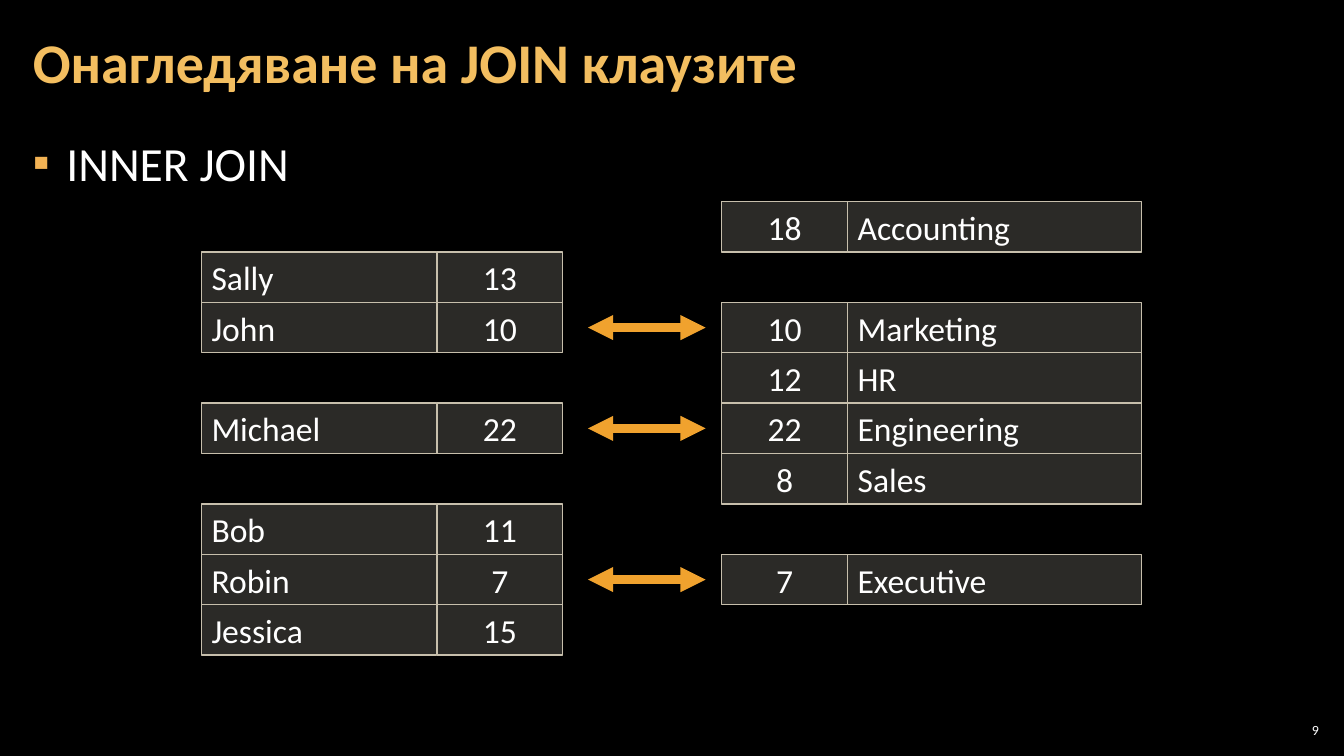
from dataclasses import dataclass

from lxml import etree
from pptx import Presentation
from pptx.dml.color import RGBColor
from pptx.enum.shapes import MSO_CONNECTOR, MSO_SHAPE
from pptx.enum.text import MSO_ANCHOR, MSO_AUTO_SIZE, PP_ALIGN
from pptx.oxml.ns import qn
from pptx.util import Pt

LEFT, CENTER, RIGHT = PP_ALIGN.LEFT, PP_ALIGN.CENTER, PP_ALIGN.RIGHT
TOP, MIDDLE = MSO_ANCHOR.TOP, MSO_ANCHOR.MIDDLE
RECT, LINE = MSO_SHAPE.RECTANGLE, MSO_CONNECTOR.STRAIGHT
FIXED = MSO_AUTO_SIZE.NONE


@dataclass(frozen=True)
class Theme:
    font: str = "Calibri"
    back: str = "000000"
    text: str = "FFFFFF"
    title: str = "F3BE60"
    bullet: str = "F2B254"
    cell: str = "D9D5C7"
    edge: str = "C7BFAC"
    arrow: str = "F0A22E"
    title_size: int = 40
    body_size: int = 34
    cell_size: int = 24
    page_size: int = 10


theme = Theme()


def rgb(code):
    return RGBColor.from_string(code)


def write(shape, text, size, align=LEFT, anchor=MIDDLE, pad=(7.2, 3.6),
          color=theme.text, bold=False, space=1.0):
    """Put one formatted paragraph in a shape and return it; pad is (side, top)."""
    frame = shape.text_frame
    side, top = map(Pt, pad)
    values = {"word_wrap": True, "auto_size": FIXED, "vertical_anchor": anchor,
              "margin_left": side, "margin_right": side,
              "margin_top": top, "margin_bottom": top}
    for name, value in values.items():
        setattr(frame, name, value)
    para = frame.paragraphs[0]
    para.alignment, para.line_spacing = align, space
    run = para.add_run()
    run.text = text
    for name, value in {"name": theme.font, "size": Pt(size), "bold": bold}.items():
        setattr(run.font, name, value)
    run.font.color.rgb = rgb(color)
    return para


deck = Presentation()
deck.slide_width, deck.slide_height = Pt(960), Pt(540)
slide = deck.slides.add_slide(deck.slide_layouts[5])
shapes = slide.shapes
slide.background.fill.solid()
slide.background.fill.fore_color.rgb = rgb(theme.back)

# Title, bullet and page number
title = shapes.title
place = {"left": 15, "top": 3, "width": 930, "height": 87}
for name, value in place.items():
    setattr(title, name, Pt(value))
write(title, "Онагледяване на JOIN клаузите", theme.title_size, pad=(8.5, 2.83),
      color=theme.title, bold=True, space=0.9)

body = shapes.add_textbox(Pt(15), Pt(91), Pt(930), Pt(529 - 91))
para = write(body, "INNER JOIN", theme.body_size, anchor=TOP, pad=(8.5, 2.83),
             space=1.05)
para.space_after = Pt(6)
props = para._p.get_or_add_pPr()
props.set("marL", str(Pt(24)))
props.set("indent", str(-Pt(24)))
tint = etree.SubElement(props, qn("a:buClr"))
etree.SubElement(tint, qn("a:srgbClr"), val=theme.bullet)
etree.SubElement(props, qn("a:buFont"), typeface=theme.font)
etree.SubElement(props, qn("a:buChar"), char="▪")

page = shapes.add_textbox(Pt(911), Pt(514), Pt(34), Pt(15))
write(page, "9", theme.page_size, align=RIGHT, pad=(2.83, 2.83))

# Rows of both tables, keyed by their slot on a shared grid
START, ROW = 144, 36
staff = {1: ("Sally", "13"), 2: ("John", "10"), 4: ("Michael", "22"),
         6: ("Bob", "11"), 7: ("Robin", "7"), 8: ("Jessica", "15")}
units = {0: ("18", "Accounting"), 2: ("10", "Marketing"), 3: ("12", "HR"),
         4: ("22", "Engineering"), 5: ("8", "Sales"), 7: ("7", "Executive")}
NAME, CODE, UNIT = (168, LEFT), (90, CENTER), (210, LEFT)

for rows, start, cols in ((staff, 144, (NAME, CODE)), (units, 515.5, (CODE, UNIT))):
    for slot, texts in rows.items():
        left = start
        for text, (width, align) in zip(texts, cols):
            cell = shapes.add_shape(RECT, Pt(left), Pt(START + slot * ROW),
                                    Pt(width), Pt(ROW))
            cell.shadow.inherit = False
            cell.fill.solid()
            cell.fill.fore_color.rgb = rgb(theme.cell)
            shade = cell._element.spPr.find(qn("a:solidFill"))[0]
            etree.SubElement(shade, qn("a:alpha"), val="20000")
            cell.line.color.rgb = rgb(theme.edge)
            cell.line.width = Pt(1)
            write(cell, text, theme.cell_size, align)
            left += width

# Arrows between rows whose codes match
for slot in staff.keys() & units.keys():
    if staff[slot][1] == units[slot][0]:
        mid = Pt(START + (slot + 0.5) * ROW)
        arrow = shapes.add_connector(LINE, Pt(420), mid, Pt(504), mid)
        arrow.line.color.rgb = rgb(theme.arrow)
        arrow.line.width = Pt(6)
        props = arrow._element.spPr
        for end in ("a:headEnd", "a:tailEnd"):
            etree.SubElement(props.find(qn("a:ln")), qn(end), type="triangle")
        etree.SubElement(props, qn("a:effectLst"))

deck.save("out.pptx")
